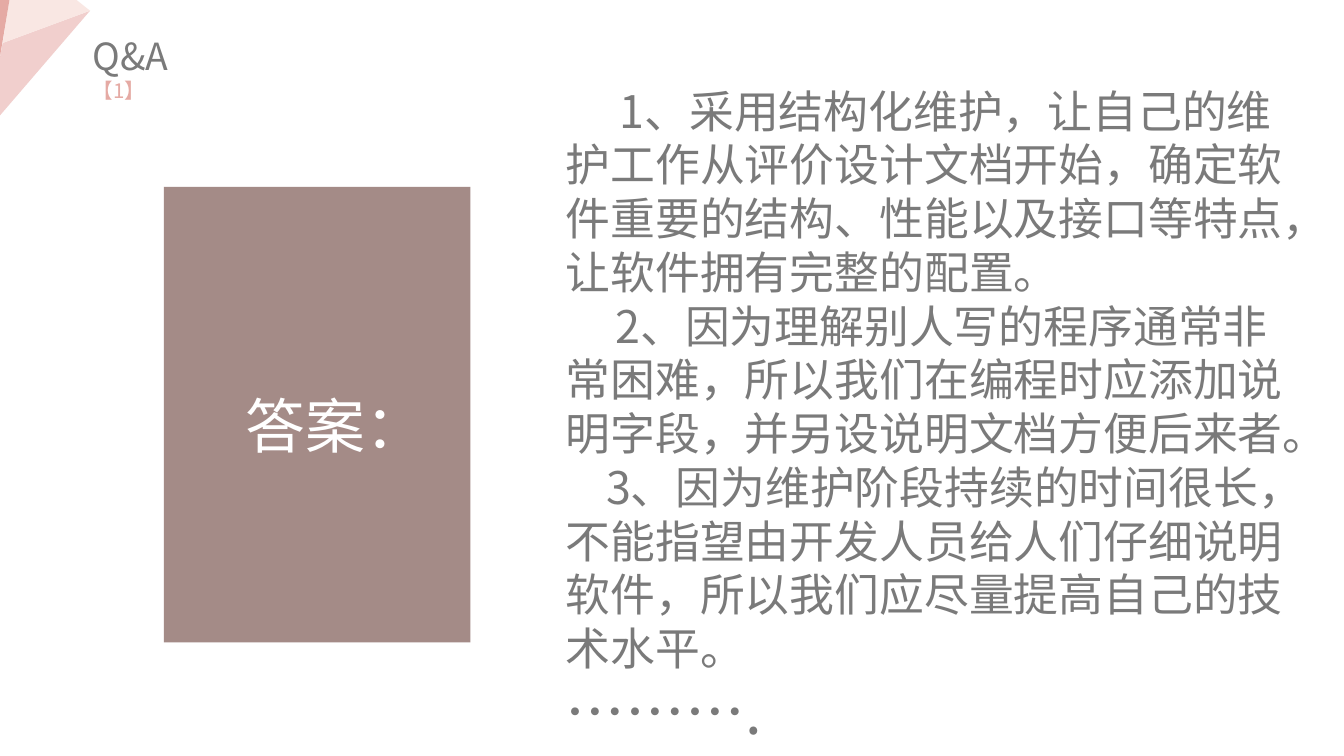
"""Build a question-and-answer slide about software maintenance."""
from lxml import etree
from pptx import Presentation
from pptx.dml.color import RGBColor
from pptx.enum import shapes, text
from pptx.oxml import ns
from pptx.util import Inches, Pt

FONT = "Noto Sans CJK SC"
GREY, WHITE, ROSE, MAUVE = "7A7A7A", "FFFFFF", "E5AAA4", "9B7F7B"
FACETS = [
    ("F1CFCD", [(0.67, 0.08), (0.02, 0.32), (-0.01, 0.48), (-0.01, 0.87)]),
    ("F9E7E3", [(0.67, 0.08), (0.57, 0), (0.07, 0), (0.02, 0.32)]),
    (ROSE, [(0.07, 0), (-0.01, 0), (-0.01, 0.48)]),
]
ANSWERS = [
    (0.4, 24, "1、采用结构化维护，让自己的维护工作从评价设计文档开始，确定软件重要的结构、性能以及接口等特点，让软件拥有完整的配置。"),
    (0.37, 24, "2、因为理解别人写的程序通常非常困难，所以我们在编程时应添加说明字段，并另设说明文档方便后来者。"),
    (0.3, 24, "3、因为维护阶段持续的时间很长，不能指望由开发人员给人们仔细说明软件，所以我们应尽量提高自己的技术水平。"),
    (0, 32, "………."),
]


def paint(fill, color):
    """Make a fill solid in a hex colour."""
    fill.solid()
    fill.fore_color.rgb = RGBColor.from_string(color)


def place(shape, left, top, width, height):
    """Move and size a shape, in inches."""
    shape.left, shape.top = Inches(left), Inches(top)
    shape.width, shape.height = Inches(width), Inches(height)


def prepare_frame(shape, inset_x=0.1, inset_top=0.05, inset_bottom=0.05):
    """Set wrapping, top anchor and insets, and return the text frame."""
    frame = shape.text_frame
    frame.word_wrap = True
    frame.auto_size = text.MSO_AUTO_SIZE.NONE
    frame.vertical_anchor = text.MSO_ANCHOR.TOP
    frame.margin_left = frame.margin_right = Inches(inset_x)
    frame.margin_top, frame.margin_bottom = Inches(inset_top), Inches(inset_bottom)
    return frame


def format_paragraph(paragraph, alignment, spacing=1.0):
    """Set alignment and line spacing without gaps between paragraphs."""
    paragraph.alignment = alignment
    paragraph.line_spacing = spacing
    paragraph.space_before = paragraph.space_after = Pt(0)


def add_run(paragraph, words, size, color):
    """Add a run in the slide font for Latin and East Asian text."""
    run = paragraph.add_run()
    run.text = words
    run.font.size = Pt(size)
    run.font.name = FONT
    paint(run.font.fill, color)
    etree.SubElement(run.font._element, ns.qn("a:ea"), typeface=FONT)


def add_panel(slide):
    """Add the slightly transparent answer panel."""
    panel = slide.shapes.add_shape(
        shapes.MSO_SHAPE.RECTANGLE, Inches(1.22), Inches(1.39), Inches(2.28), Inches(3.39))
    panel.shadow.inherit = False
    paint(panel.fill, MAUVE)
    panel.line.fill.background()
    color = panel._element.spPr.find(".//" + ns.qn("a:srgbClr"))
    etree.SubElement(color, ns.qn("a:alpha"), val="90000")


def add_panel_label(slide):
    """Add the centred label over the panel."""
    label = slide.shapes.add_textbox(Inches(1.35), Inches(2.74), Inches(2.29), Inches(0.7))
    frame = prepare_frame(label)
    frame.auto_size = text.MSO_AUTO_SIZE.SHAPE_TO_FIT_TEXT
    paragraph = frame.paragraphs[0]
    format_paragraph(paragraph, text.PP_ALIGN.CENTER, 1.2)
    add_run(paragraph, "答案：", 32, WHITE)


def add_corner(slide):
    """Add the faceted corner ornament as one group."""
    group = slide.shapes.add_group_shape()
    for color, points in FACETS:
        start, *rest = [(Inches(x), Inches(y)) for x, y in points]
        builder = group.shapes.build_freeform(*start)
        builder.add_line_segments(rest, close=True)
        facet = builder.convert_to_shape()
        facet.shadow.inherit = False
        paint(facet.fill, color)
        facet.line.fill.background()


def fill_title(title):
    """Write the heading and its number below it."""
    place(title, 0.59, 0.2, 1.23, 0.44)
    paragraph = prepare_frame(title).paragraphs[0]
    format_paragraph(paragraph, text.PP_ALIGN.LEFT)
    add_run(paragraph, "Q&A", 20, GREY)
    paragraph.add_line_break()
    add_run(paragraph, "【1】", 11, ROSE)


def fill_body(body):
    """Write the answers with first-line indents and no bullets."""
    place(body, 4.21, 0.49, 5.35, 5.12)
    frame = prepare_frame(body, 0, 0.13, 0)
    for index, (indent, size, words) in enumerate(ANSWERS):
        paragraph = frame.add_paragraph() if index else frame.paragraphs[0]
        format_paragraph(paragraph, text.PP_ALIGN.LEFT)
        properties = paragraph._p.get_or_add_pPr()
        properties.set("marL", "0")
        properties.set("indent", str(Inches(indent)))
        etree.SubElement(properties, ns.qn("a:buNone"))
        add_run(paragraph, words, size, GREY)


def main():
    """Build and save the slide."""
    presentation = Presentation()
    presentation.slide_width = Inches(10)
    presentation.slide_height = Inches(10) * 9 // 16
    slide = presentation.slides.add_slide(presentation.slide_layouts[1])
    paint(slide.background.fill, WHITE)
    add_panel(slide)
    add_panel_label(slide)
    add_corner(slide)
    fill_title(slide.shapes.title)
    fill_body(slide.placeholders[1])
    presentation.save("out.pptx")


if __name__ == "__main__":
    main()
